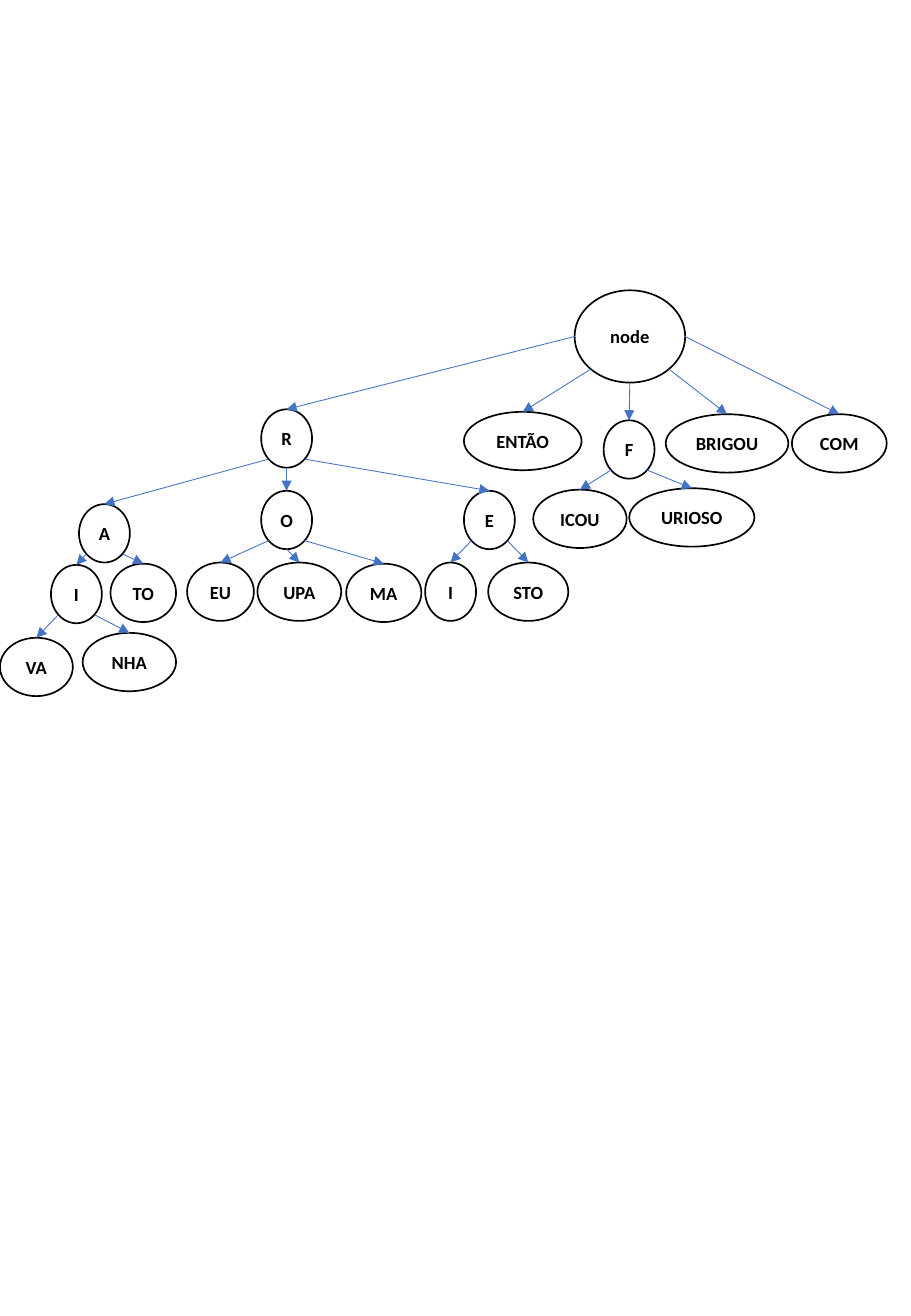
from math import cos, radians, sin

from lxml import etree
from pptx import Presentation
from pptx.dml.color import RGBColor
from pptx.enum.shapes import MSO_CONNECTOR, MSO_SHAPE
from pptx.enum.text import MSO_ANCHOR, PP_ALIGN
from pptx.oxml.ns import qn
from pptx.util import Pt

OVAL = MSO_SHAPE.OVAL
LINE = MSO_CONNECTOR.STRAIGHT
MIDDLE = MSO_ANCHOR.MIDDLE
CENTER = PP_ALIGN.CENTER

# Ellipse sites run anticlockwise from the top in steps of 45 degrees
TOP, LEFT, LOW_LEFT, LOW, LOW_RIGHT, RIGHT = 0, 2, 3, 4, 5, 6
SMALL, TALL = 30.2, 34.6

# Each node: text, left, top, width, site on its parent, children
ROOT = ("node", 340.6, 172.1, 65.5, None, [
    ("R", 154.8, 242.6, SMALL, LEFT, [
        ("A", 46.8, 298.8, SMALL, LOW_LEFT, [
            ("I", 30.2, 334.8, SMALL, LOW_LEFT, [
                ("VA", 0, 378, 43.2, LOW_LEFT, []),
                ("NHA", 49, 375.1, 55.4, LOW_RIGHT, []),
            ]),
            ("TO", 65.5, 334.1, 38.9, LOW_RIGHT, []),
        ]),
        ("O", 154.8, 290.9, SMALL, LOW, [
            ("EU", 110.9, 333.4, 39.6, LOW_LEFT, []),
            ("UPA", 152.6, 333.4, 49.7, LOW, []),
            ("MA", 205.2, 334.1, 44.6, LOW_RIGHT, []),
        ]),
        ("E", 275, 290.9, SMALL, LOW_RIGHT, [
            ("I", 252, 333.4, SMALL, LOW_LEFT, []),
            ("STO", 289.4, 333.4, 47.5, LOW_RIGHT, []),
        ]),
    ]),
    ("ENTÃO", 275, 244.1, 69.8, LOW_LEFT, []),
    ("F", 357.8, 249.1, SMALL, LOW, [
        ("ICOU", 316.1, 290.2, 55.4, LOW_LEFT, []),
        ("URIOSO", 373, 289.4, 74.2, LOW_RIGHT, []),
    ]),
    ("BRIGOU", 394.6, 245.5, 72.7, LOW_RIGHT, []),
    ("COM", 469.4, 245.5, 56.2, RIGHT, []),
])


def color(code):
    """Turn a hex string into a colour."""
    return RGBColor.from_string(code)


def spot(oval, site):
    """Return the point of a connection site on an ellipse."""
    angle = radians(90 + 45 * site)
    return (int(oval.left + oval.width * (1 + cos(angle)) / 2),
            int(oval.top + oval.height * (1 - sin(angle)) / 2))


class Tree:
    """Draws a tree of nodes on one slide."""

    font, size = "Calibri", 11
    ink, blue = "000000", "4472C4"

    def __init__(self, slide):
        """Keep the slide to draw on."""
        self.slide = slide

    def oval(self, text, left, top, width, height):
        """Add an outlined ellipse with a bold label."""
        shape = self.slide.shapes.add_shape(
            OVAL, Pt(left), Pt(top), Pt(width), Pt(height))
        shape.shadow.inherit = False
        shape.fill.background()
        shape.line.color.rgb = color(self.ink)
        shape.line.width = Pt(1)
        frame = shape.text_frame
        frame.text = text
        frame.word_wrap = False
        frame.vertical_anchor = MIDDLE
        frame.margin_left = frame.margin_right = 0
        frame.margin_top = frame.margin_bottom = 0
        para = frame.paragraphs[0]
        para.alignment = CENTER
        font = para.runs[0].font
        font.name, font.size, font.bold = self.font, Pt(self.size), True
        font.color.rgb = color(self.ink)
        return shape

    def arrow(self, start, site, end):
        """Glue an arrow from a site of one ellipse to the top of another."""
        line = self.slide.shapes.add_connector(LINE, 0, 0, 0, 0)
        line.begin_connect(start, 0)
        line.end_connect(end, TOP)
        line.begin_x, line.begin_y = spot(start, site)
        line.element.find(".//" + qn("a:stCxn")).set("idx", str(site))
        line.line.color.rgb = color(self.blue)
        line.line.width = Pt(0.5)
        props = line.element.spPr
        etree.SubElement(props.find(qn("a:ln")), qn("a:tailEnd"),
                         type="triangle")
        etree.SubElement(props, qn("a:effectLst"))

    def branch(self, node, height=TALL):
        """Draw a node and, below it, all its children."""
        text, left, top, width, _, kids = node
        shape = self.oval(text, left, top, width, height)
        for kid in kids:
            self.arrow(shape, kid[4], self.branch(kid))
        return shape


deck = Presentation()
deck.slide_width, deck.slide_height = Pt(540), Pt(780)
tree = Tree(deck.slides.add_slide(deck.slide_layouts[6]))
tree.branch(ROOT, 54.7)
deck.save("out.pptx")
